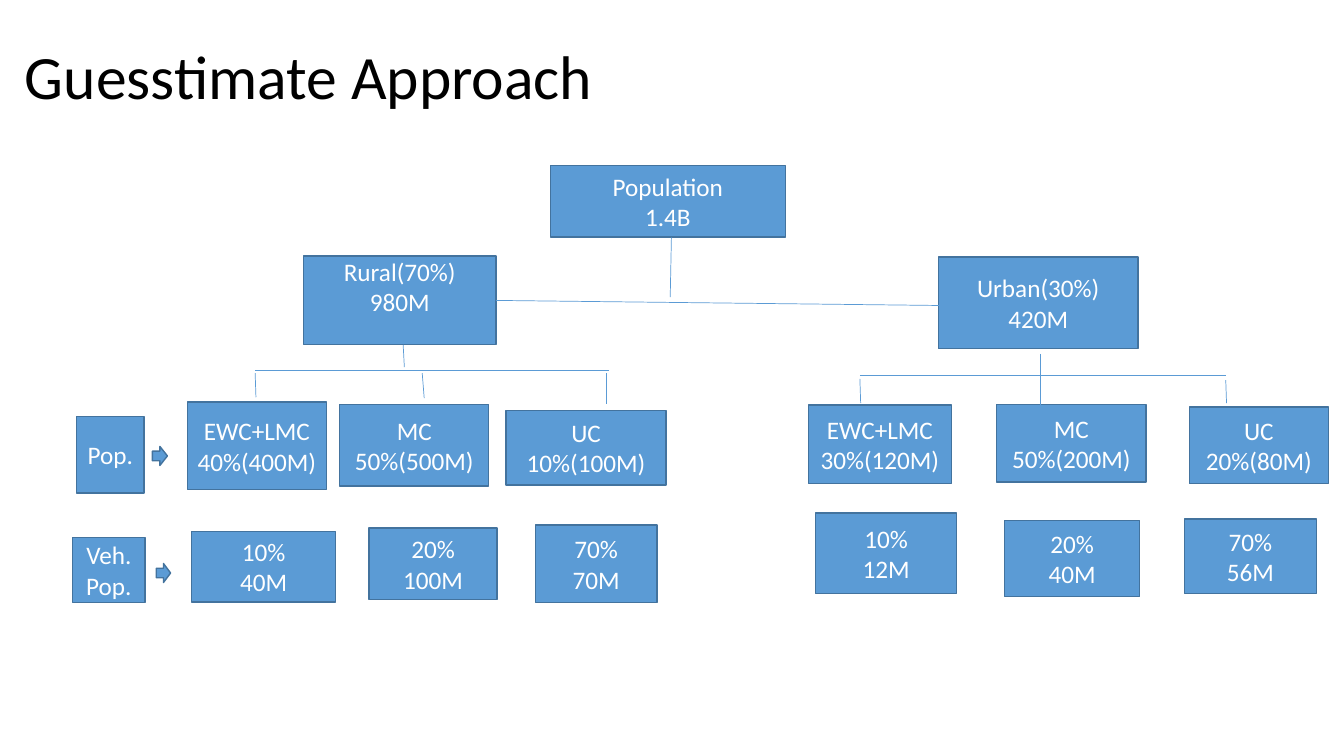
from dataclasses import dataclass

from lxml import etree
from pptx import Presentation
from pptx import util as u
from pptx.dml.color import RGBColor
from pptx.enum import shapes, text
from pptx.oxml.ns import qn


@dataclass(frozen=True)
class Theme:
    font: str = "Calibri"
    title_size: int = 44
    box_size: int = 18
    ink: str = "000000"
    box_text: str = "FFFFFF"
    box_fill: str = "5B9BD5"
    box_line: str = "43739E"
    branch: str = "5B9BD5"
    box_line_width: float = 1
    branch_width: float = 0.5


THEME = Theme()
SLIDE_SIZE = (33.87, 19.05)
TITLE = ("Guesstimate Approach", (0.38, 0.99, 29.21, 2.03))

# All places are in centimetres: left, top, width, height.
RURAL = "Rural(70%)\n980M"
BOXES = [
    ("Population\n1.4B", (13.87, 4.17, 5.92, 1.8)),
    (RURAL, (7.65, 6.45, 4.85, 2.24)),
    ("Urban(30%)\n420M", (23.65, 6.48, 5.03, 2.31)),
    # Rural classes
    ("EWC+LMC\n40%(400M)", (4.72, 10.13, 3.51, 2.21)),
    ("MC\n50%(500M)", (8.56, 10.19, 3.76, 2.06)),
    ("UC\n10%(100M)", (12.75, 10.34, 4.04, 1.88)),
    # Urban classes
    ("EWC+LMC\n30%(120M)", (20.37, 10.21, 3.61, 1.98)),
    ("MC\n50%(200M)", (25.12, 10.19, 3.76, 1.96)),
    ("UC\n20%(80M)", (29.97, 10.26, 3.51, 1.93)),
    # Rural vehicles
    ("10%\n40M", (4.83, 13.39, 3.63, 1.78)),
    ("20%\n100M", (9.3, 13.31, 3.23, 1.8)),
    ("70%\n70M", (13.49, 13.23, 3.07, 1.96)),
    # Urban vehicles
    ("10%\n12M", (20.55, 12.93, 3.56, 2.03)),
    ("20%\n40M", (25.32, 13.11, 3.4, 1.93)),
    ("70%\n56M", (29.85, 13.08, 3.33, 1.88)),
    # Row labels
    ("Pop.", (1.93, 10.49, 1.7, 1.93)),
    ("Veh.\nPop.", (1.83, 13.54, 1.83, 1.65)),
]
ROW_ARROWS = [(3.84, 11.25, 0.38, 0.48), (3.94, 14.2, 0.36, 0.48)]

# Start x, start y, end x, end y.
AREA_LINK = (12.5, 7.57, 23.88, 7.7)
BRANCHES = [
    (16.92, 5.99, 16.89, 7.49),
    # Rural fork
    (10.16, 8.69, 10.19, 9.25),
    (6.43, 9.32, 15.34, 9.32),
    (6.43, 9.4, 6.45, 10.01),
    (10.64, 9.4, 10.69, 10.03),
    (15.29, 9.4, 15.29, 10.19),
    # Urban fork
    (26.21, 8.92, 26.21, 9.55),
    (21.67, 9.47, 30.89, 9.47),
    (21.67, 9.55, 21.69, 10.16),
    (26.21, 9.55, 26.21, 10.31),
    (30.89, 9.58, 30.91, 10.16),
]


def cm(values):
    return [u.Cm(value) for value in values]


def colour(code):
    return RGBColor.from_string(code)


def apply(target, formats):
    for name, value in formats.items():
        setattr(target, name, value)


def write(frame, content, size, ink, paragraph_formats, frame_formats):
    frame.text = content
    apply(frame, {"word_wrap": True, "vertical_anchor": text.MSO_ANCHOR.MIDDLE,
                  **frame_formats})
    for paragraph in frame.paragraphs:
        apply(paragraph, paragraph_formats)
        for run in paragraph.runs:
            apply(run.font, {"name": THEME.font, "size": u.Pt(size)})
            run.font.color.rgb = colour(ink)


def add_block(slide, kind, place):
    """Add a preset shape in the diagram's fill and outline."""
    shape = slide.shapes.add_shape(kind, *cm(place))
    shape.shadow.inherit = False
    shape.fill.solid()
    shape.fill.fore_color.rgb = colour(THEME.box_fill)
    shape.line.color.rgb = colour(THEME.box_line)
    shape.line.width = u.Pt(THEME.box_line_width)
    return shape


def add_box(slide, content, place):
    box = add_block(slide, shapes.MSO_SHAPE.RECTANGLE, place)
    formats = {"margin_left": u.Cm(0.1), "margin_right": u.Cm(0.1)}
    if content == RURAL:
        formats.update(vertical_anchor=text.MSO_ANCHOR.TOP, margin_top=0)
    write(box.text_frame, content, THEME.box_size, THEME.box_text,
          {"alignment": text.PP_ALIGN.CENTER}, formats)
    return box


def add_branch(slide, ends):
    branch = slide.shapes.add_connector(shapes.MSO_CONNECTOR.STRAIGHT, *cm(ends))
    branch.line.color.rgb = colour(THEME.branch)
    branch.line.width = u.Pt(THEME.branch_width)
    properties = branch._element.find(qn("p:spPr"))
    etree.SubElement(properties, qn("a:effectLst"))
    return branch


def main():
    presentation = Presentation()
    presentation.slide_width, presentation.slide_height = cm(SLIDE_SIZE)
    slide = presentation.slides.add_slide(presentation.slide_layouts[6])

    title, title_place = TITLE
    heading = slide.shapes.add_textbox(*cm(title_place))
    write(heading.text_frame, title, THEME.title_size, THEME.ink,
          {"line_spacing": 0.9}, {})

    boxes = {place: add_box(slide, content, place) for content, place in BOXES}
    for place in ROW_ARROWS:
        add_block(slide, shapes.MSO_SHAPE.RIGHT_ARROW, place)

    rural_place = dict(BOXES)[RURAL]
    add_branch(slide, AREA_LINK).begin_connect(boxes[rural_place], 3)
    for ends in BRANCHES:
        add_branch(slide, ends)

    presentation.save("out.pptx")


if __name__ == "__main__":
    main()
